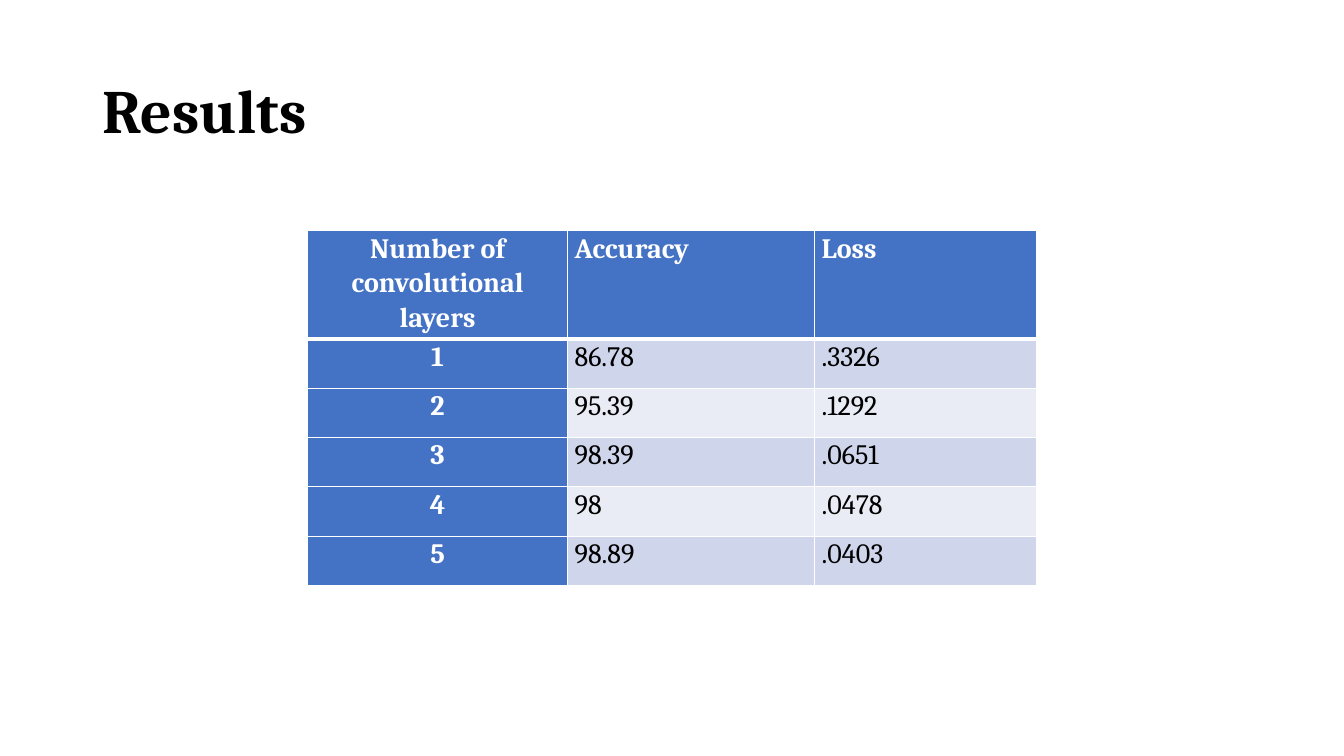
from dataclasses import dataclass

from lxml import etree
from pptx import Presentation
from pptx.dml.color import RGBColor
from pptx.enum.text import MSO_ANCHOR, PP_ALIGN
from pptx.oxml.ns import qn
from pptx.util import Inches, Pt


@dataclass(frozen=True)
class Theme:
    font: str = "Cambria"
    title_size: int = 44
    table_size: int = 20
    black: str = "000000"
    white: str = "FFFFFF"
    accent: str = "4472C4"
    bands: tuple = ("CFD5EA", "E9EBF5")


THEME = Theme()
COLUMN_WIDTHS = (2.58, 2.45, 2.2)
HEADER_HEIGHT = 1.03
ROW_HEIGHT = 0.49
RESULTS = (
    ("Number of convolutional layers", "Accuracy", "Loss"),
    ("1", "86.78", ".3326"),
    ("2", "95.39", ".1292"),
    ("3", "98.39", ".0651"),
    ("4", "98", ".0478"),
    ("5", "98.89", ".0403"),
)


def write_text(frame, text, size, color, bold, align, spacing):
    paragraph = frame.paragraphs[0]
    paragraph.alignment = align
    paragraph.line_spacing = spacing
    run = paragraph.add_run()
    run.text = text
    run.font.name = THEME.font
    run.font.size = Pt(size)
    run.font.bold = bold
    run.font.color.rgb = RGBColor.from_string(color)


def add_title(slide, text):
    box = slide.shapes.add_textbox(Inches(0.92), Inches(0.4), Inches(11.5), Inches(1.45))
    frame = box.text_frame
    frame.word_wrap = True
    frame.vertical_anchor = MSO_ANCHOR.MIDDLE
    write_text(frame, text, THEME.title_size, THEME.black, True, PP_ALIGN.LEFT, 0.9)


def set_borders(cell, bottom_width):
    properties = cell._tc.get_or_add_tcPr()
    for side, width in (("L", 1), ("R", 1), ("T", 1), ("B", bottom_width)):
        line = etree.SubElement(properties, qn(f"a:ln{side}"), w=str(Pt(width)))
        fill = etree.SubElement(line, qn("a:solidFill"))
        etree.SubElement(fill, qn("a:srgbClr"), val=THEME.white)


def fill_cell(cell, text, row, column):
    emphasized = row == 0 or column == 0
    cell.margin_left = cell.margin_right = Inches(0.07)
    cell.margin_top = cell.margin_bottom = 0
    set_borders(cell, 3 if row == 0 else 1)
    cell.fill.solid()
    background = THEME.accent if emphasized else THEME.bands[(row - 1) % 2]
    cell.fill.fore_color.rgb = RGBColor.from_string(background)
    write_text(
        cell.text_frame,
        text,
        THEME.table_size,
        THEME.white if emphasized else THEME.black,
        emphasized,
        PP_ALIGN.CENTER if column == 0 else PP_ALIGN.LEFT,
        1.07,
    )


def add_results_table(slide, rows):
    heights = [HEADER_HEIGHT] + [ROW_HEIGHT] * (len(rows) - 1)
    table = slide.shapes.add_table(
        len(rows), len(COLUMN_WIDTHS), Inches(3.05), Inches(2.29),
        Inches(sum(COLUMN_WIDTHS)), Inches(sum(heights)),
    ).table
    for column, width in zip(table.columns, COLUMN_WIDTHS):
        column.width = Inches(width)
    for row, height in zip(table.rows, heights):
        row.height = Inches(height)
    for row, values in enumerate(rows):
        for column, text in enumerate(values):
            fill_cell(table.cell(row, column), text, row, column)


def main():
    presentation = Presentation()
    presentation.slide_width = Inches(13.33)
    presentation.slide_height = Inches(7.5)
    slide = presentation.slides.add_slide(presentation.slide_layouts[6])
    add_title(slide, "Results")
    add_results_table(slide, RESULTS)
    presentation.save("out.pptx")


main()
